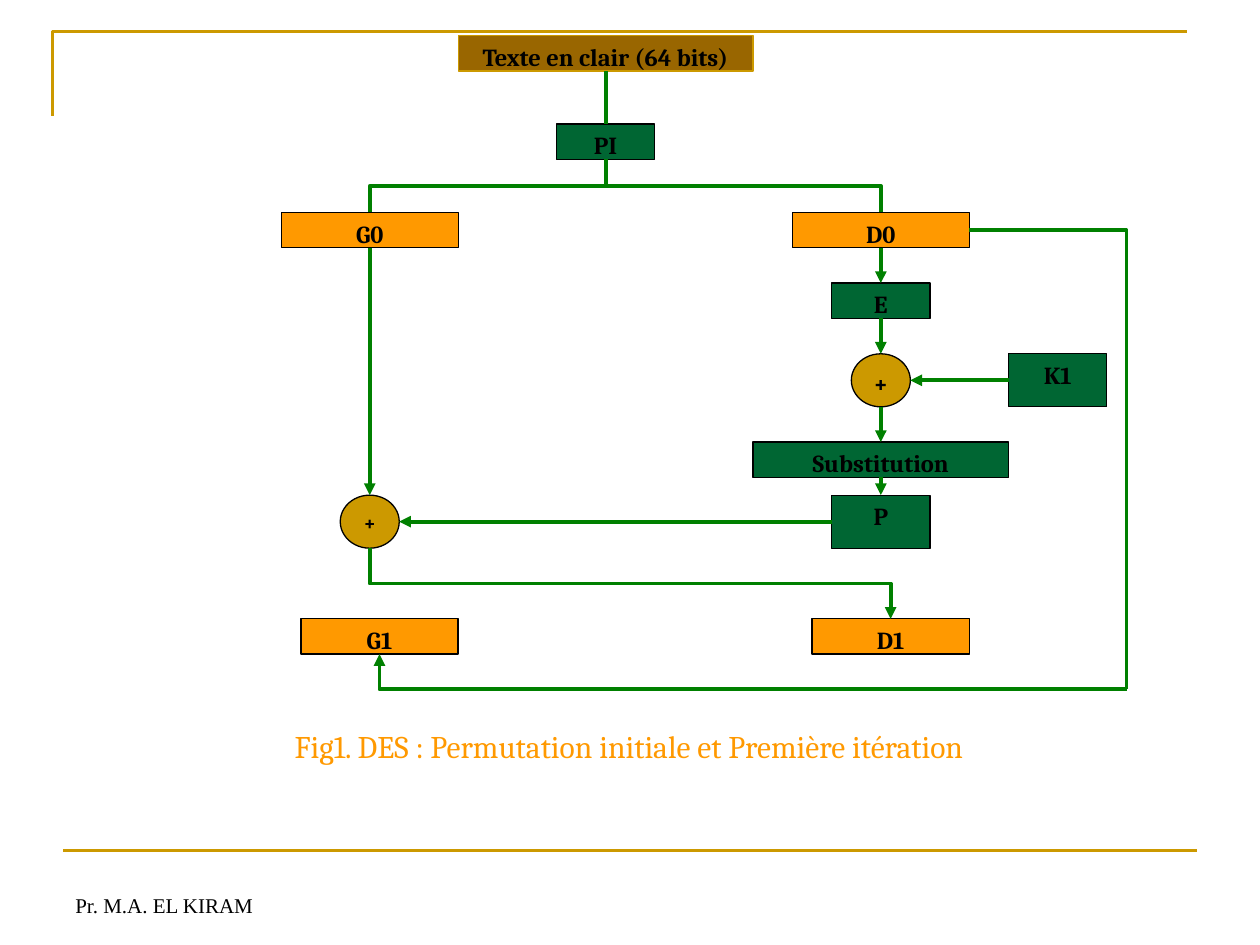
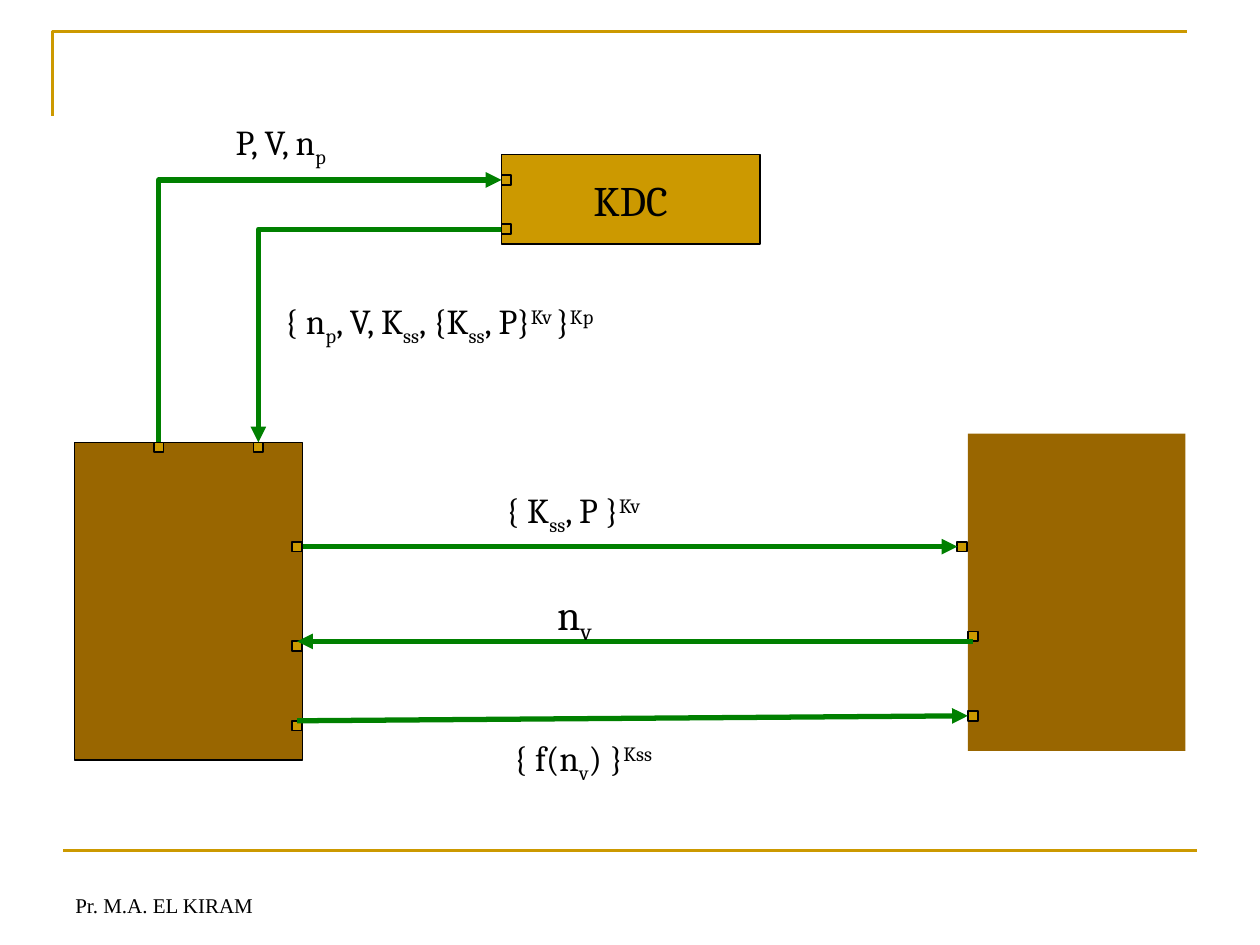
"""Build two slides: the first DES iteration and a key distribution exchange."""
from dataclasses import dataclass

from lxml.etree import SubElement
from pptx import Presentation
from pptx.dml.color import RGBColor
from pptx.enum.shapes import MSO_CONNECTOR, MSO_SHAPE
from pptx.enum.text import MSO_ANCHOR, PP_ALIGN
from pptx.oxml.ns import qn
from pptx.util import Cm, Pt


@dataclass(frozen=True)
class Theme:
    gold: str = "CC9900"
    brown: str = "996600"
    orange: str = "FF9900"
    forest: str = "006633"
    arrow: str = "008000"
    ink: str = "000000"
    font: str = "Cambria"
    footer_font: str = "Times New Roman"
    small: int = 12
    node: int = 14
    caption: int = 18
    message: int = 20
    large: int = 24


theme = Theme()
SUB, SUP = -25000, 30000


def write(slide, text, area, shape=None, fill=None, line=None, weight=0.75,
          size=theme.node, color=theme.ink, font=theme.font, bold=False,
          align=PP_ALIGN.LEFT, anchor=MSO_ANCHOR.TOP, indent=0):
    left, top, width, height = (Cm(value) for value in area)
    if shape is None:
        box = slide.shapes.add_textbox(left, top, width, height)
    else:
        box = slide.shapes.add_shape(shape, left, top, width, height)
        box.shadow.inherit = False
        box.fill.solid()
        box.fill.fore_color.rgb = RGBColor.from_string(fill)
        if line:
            box.line.color.rgb = RGBColor.from_string(line)
            box.line.width = Pt(weight)
        else:
            box.line.fill.background()
    if not text:
        return
    frame = box.text_frame
    frame.word_wrap = True
    frame.vertical_anchor = anchor
    frame.margin_left = Cm(0.25 + indent)
    paragraph = frame.paragraphs[0]
    paragraph.alignment = align
    for piece, baseline in [(text, 0)] if isinstance(text, str) else text:
        run = paragraph.add_run()
        run.text = piece
        run.font.size = Pt(size)
        run.font.name = font
        run.font.bold = bold
        run.font.color.rgb = RGBColor.from_string(color)
        if baseline:
            run.font._element.set("baseline", str(baseline))


def route(slide, start, end, bends=0, vertical=False, head=True, color=theme.arrow, weight=2.25):
    (x1, y1), (x2, y2) = start, end
    kind = MSO_CONNECTOR.ELBOW if bends else MSO_CONNECTOR.STRAIGHT
    connector = slide.shapes.add_connector(kind, Cm(x1), Cm(y1), Cm(x2), Cm(y2))
    properties = connector._element.spPr
    if bends:
        properties.find(qn("a:prstGeom")).set("prst", f"bentConnector{bends + 1}")
    if vertical:
        across, down = abs(x2 - x1), abs(y2 - y1)
        connector.left, connector.top = Cm((x1 + x2 - down) / 2), Cm((y1 + y2 - across) / 2)
        connector.width, connector.height = Cm(down), Cm(across)
        turn = properties.find(qn("a:xfrm"))
        turn.set("rot", "5400000")
        turn.set("flipH", str(int(y2 < y1)))
        turn.set("flipV", str(int(x2 > x1)))
    connector.line.color.rgb = RGBColor.from_string(color)
    connector.line.width = Pt(weight)
    if head:
        SubElement(properties.find(qn("a:ln")), qn("a:tailEnd"), type="triangle")
    SubElement(properties, qn("a:effectLst"))


deck = Presentation()
deck.slide_width, deck.slide_height = Cm(25.4), Cm(19.05)
des, exchange = (deck.slides.add_slide(deck.slide_layouts[6]) for _ in range(2))

for slide in (des, exchange):
    outline = slide.shapes.build_freeform(Cm(1.06), Cm(2.33), scale=1.0)
    outline.add_line_segments([(Cm(1.06), Cm(0.64)), (Cm(23.92), Cm(0.64))], close=False)
    corner = outline.convert_to_shape()
    corner.shadow.inherit = False
    corner.fill.background()
    corner.line.color.rgb = RGBColor.from_string(theme.gold)
    corner.line.width = Pt(1.5)
    route(slide, (1.27, 17.14), (24.13, 17.14), head=False, color=theme.gold, weight=1.5)
    write(slide, "Pr. M.A. EL KIRAM", (1.27, 17.35, 5.92, 1.27), size=theme.small,
          font=theme.footer_font, anchor=MSO_ANCHOR.BOTTOM)

grid_left, grid_top = 5.67, 0.72
column, row = 17.04 / 43, 13.18 / 37
rect, oval = MSO_SHAPE.RECTANGLE, MSO_SHAPE.OVAL

steps = [
    ("Texte en clair (64 bits)", 9, 0, 15, 2, rect, theme.brown, theme.gold, theme.node),
    ("PI", 14, 5, 5, 2, rect, theme.forest, theme.ink, theme.node),
    ("G0", 0, 10, 9, 2, rect, theme.orange, theme.ink, theme.node),
    ("D0", 26, 10, 9, 2, rect, theme.orange, theme.ink, theme.node),
    ("E", 28, 14, 5, 2, rect, theme.forest, theme.ink, theme.node),
    ("+", 29, 18, 3, 3, oval, theme.gold, theme.ink, theme.node),
    ("K1", 37, 18, 5, 3, rect, theme.forest, theme.ink, theme.node),
    ("Substitution", 24, 23, 13, 2, rect, theme.forest, theme.ink, theme.node),
    ("P", 28, 26, 5, 3, rect, theme.forest, theme.ink, theme.node),
    ("+", 3, 26, 3, 3, oval, theme.gold, theme.ink, theme.small),
    ("D1", 27, 33, 8, 2, rect, theme.orange, theme.ink, theme.node),
    ("G1", 1, 33, 8, 2, rect, theme.orange, theme.ink, theme.node),
]
for label, x, y, across, down, outline, fill, line, size in steps:
    write(des, label,
          (grid_left + x * column, grid_top + y * row, across * column, down * row),
          shape=outline, fill=fill, line=line, size=size, bold=True, align=PP_ALIGN.CENTER)

flows = [
    ((16.5, 2), (16.5, 5), 0, False, False),
    ((16.5, 7), (4.5, 10), 2, True, False),
    ((16.5, 7), (30.5, 10), 2, True, False),
    ((30.5, 12), (30.5, 14), 0, False, True),
    ((30.5, 16), (30.5, 18), 0, False, True),
    ((37, 19.5), (32, 19.5), 0, False, True),
    ((30.5, 21), (30.5, 23), 0, False, True),
    ((30.5, 25), (30.5, 26), 0, False, True),
    ((28, 27.5), (6, 27.5), 0, False, True),
    ((4.5, 12), (4.5, 26), 0, False, True),
    ((4.5, 29), (31, 33), 2, True, True),
    ((35, 11), (43, 37), 1, False, False),
    ((43, 37), (5, 35), 1, False, True),
]
for start, end, bends, vertical, head in flows:
    start, end = ((grid_left + x * column, grid_top + y * row) for x, y in (start, end))
    route(des, start, end, bends=bends, vertical=vertical, head=head)

write(des, "Fig1. DES : Permutation initiale et Première itération",
      (5.69, 14.53, 16.41, 1.78), size=theme.caption, color=theme.orange)

write(exchange, "KDC", (10.11, 3.12, 5.21, 1.8), shape=rect, fill=theme.gold, line=theme.ink,
      size=theme.large, align=PP_ALIGN.CENTER, anchor=MSO_ANCHOR.MIDDLE)
write(exchange, "", (1.5, 8.92, 4.6, 6.4), shape=rect, fill=theme.brown, line=theme.ink)
write(exchange, "", (19.51, 8.74, 4.39, 6.4), shape=rect, fill=theme.brown)

ports = [(5.11, 8.92), (3.1, 8.92), (5.89, 10.92), (5.89, 12.93), (5.89, 14.53),
         (19.3, 10.92), (19.51, 12.73), (19.51, 14.33), (10.11, 3.53), (10.11, 4.52)]
for x, y in ports:
    write(exchange, "", (x, y, 0.2, 0.2), shape=rect, fill=theme.gold, line=theme.ink, weight=1)

transfers = [
    ((3.2, 8.92), (10.11, 3.63), 1, True),
    ((10.11, 4.62), (5.21, 8.92), 1, False),
    ((6.1, 11.02), (19.3, 11.02), 0, False),
    ((19.61, 12.93), (5.99, 12.93), 0, False),
    ((5.99, 14.53), (19.51, 14.43), 0, False),
]
for start, end, bends, vertical in transfers:
    route(exchange, start, end, bends=bends, vertical=vertical, weight=3)

messages = [
    ([("P, V, n", 0), ("p", SUB)], (4.5, 2.31, 4.8, 1.22), theme.message, 0),
    ([("{ n", 0), ("p", SUB), (", V, K", 0), ("ss", SUB), (", {K", 0), ("ss", SUB),
      (", P}", 0), ("Kv ", SUP), ("}", 0), ("Kp", SUP)],
     (5.49, 5.92, 9.6, 1.22), theme.message, 0),
    ([("{ K", 0), ("ss", SUB), (", P }", 0), ("Kv", SUP)],
     (9.3, 9.73, 6.4, 1.22), theme.message, 0.65),
    ([("n", 0), ("v", SUB)], (9.5, 11.73, 3.81, 1.42), theme.large, 1.48),
    ([("{ f(n", 0), ("v", SUB), (") }", 0), ("Kss", SUP)],
     (10.11, 14.73, 4.39, 1.22), theme.message, 0),
]
for pieces, area, size, indent in messages:
    write(exchange, pieces, area, size=size, indent=indent)

deck.save("out.pptx")
